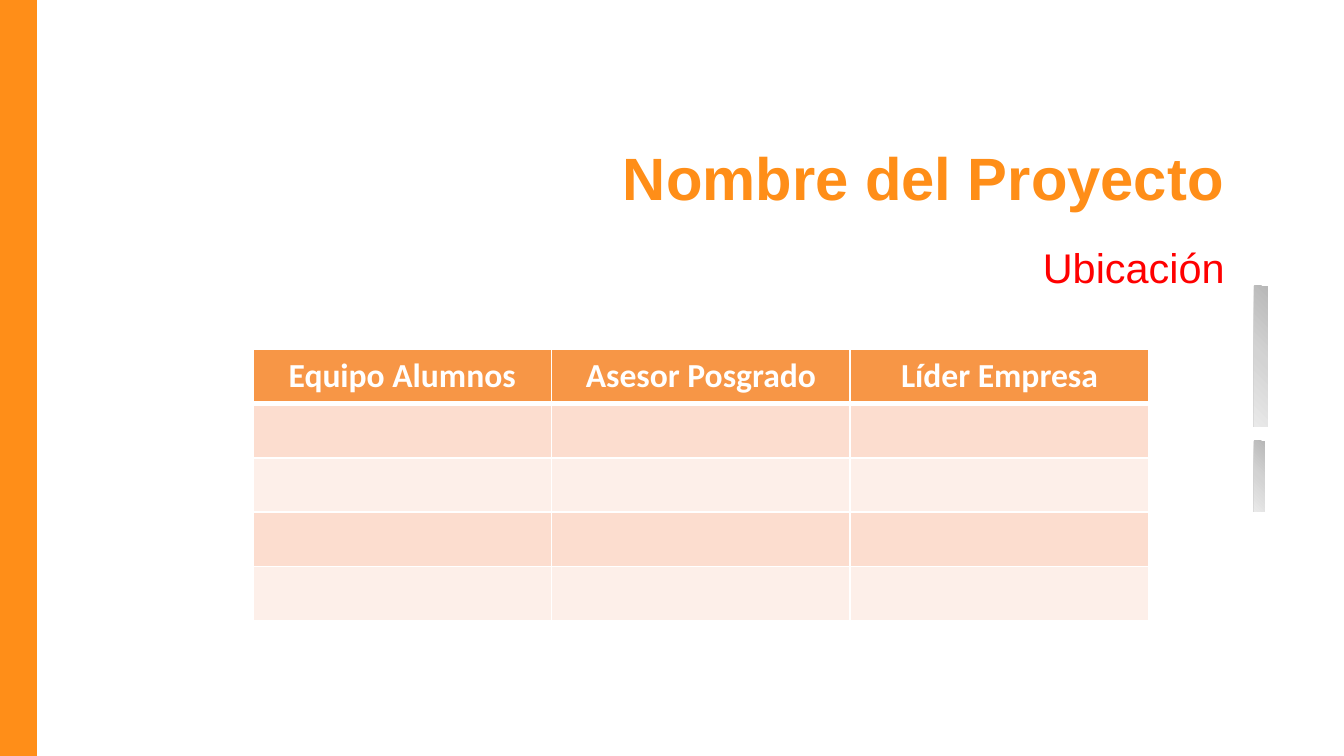
from copy import deepcopy

from lxml.etree import SubElement
from pptx import Presentation
from pptx.dml.color import RGBColor as Rgb
from pptx.enum.shapes import MSO_SHAPE as Shape
from pptx.enum.text import MSO_ANCHOR as Anchor, PP_ALIGN as Align
from pptx.oxml.ns import qn
from pptx.util import Pt

SCALE = 914400 / 134.4
SLIDE_BOX = (0, 0, 1344, 756)
COLORS = {
    "orange": "FF8E18",
    "red": "FF0000",
    "white": "FFFFFF",
    "header": "F79646",
    "odd_row": "FCDDCF",
    "even_row": "FDEFE9",
}
GRADIENT = {0: "B8B8B8", 0.5: "D3D3D3", 1: "E9E9E9"}
TITLE_FONT = {"name": "Arial", "size": Pt(32), "bold": True}
SUBTITLE_FONT = {"name": "Arial", "size": Pt(22.2), "bold": False}
HEADER_FONT = {"name": "Calibri", "size": Pt(18), "bold": True}
HEADERS = ["Equipo Alumnos", "Asesor Posgrado", "Líder Empresa"]
BODY_ROWS = 4


def emu(pixels):
    """Turn pixels into EMU."""
    return round(pixels * SCALE)


def color(name):
    """Look up a named colour."""
    return Rgb.from_string(COLORS[name])


def set_attributes(target, values):
    """Set every attribute listed in a dict."""
    for name, value in values.items():
        setattr(target, name, value)


def write_text(frame, text, font, color_name, align):
    """Write one formatted paragraph into a text frame."""
    paragraph = frame.paragraphs[0]
    paragraph.text = text
    paragraph.alignment = align
    run_font = paragraph.runs[0].font
    set_attributes(run_font, font)
    run_font.color.rgb = color(color_name)


def add_bar(slide, box):
    """Add a rectangle without line or shadow."""
    shape = slide.shapes.add_shape(Shape.RECTANGLE, *map(emu, box))
    shape.shadow.inherit = False
    shape.line.fill.background()
    return shape


def add_side_band(slide, box):
    """Add the orange band along the left edge."""
    left, top, _, height = box
    band = add_bar(slide, (left, top, 37, height))
    band.fill.solid()
    band.fill.fore_color.rgb = color("orange")


def add_gray_bars(slide, box):
    """Add the two shaded bars, one under the other."""
    left, top, width, height = box
    sizes = [(0, width, 141), (height - 71, width - 3, 71)]
    for offset, bar_width, bar_height in sizes:
        bar = add_bar(slide, (left, top + offset, bar_width, bar_height))
        bar.fill.gradient()
        bar.fill.gradient_angle = 225
        stop_list = bar.element.spPr.find(".//" + qn("a:gsLst"))
        stop_list.append(deepcopy(stop_list[0]))
        for stop, (position, value) in zip(bar.fill.gradient_stops, GRADIENT.items()):
            stop.position = position
            stop.color.rgb = Rgb.from_string(value)


def add_headings(slide, box):
    """Place the title and the subtitle, aligned to the right."""
    left, top, width, height = box
    title = slide.shapes.title
    title_box = dict(zip(("left", "top", "width", "height"),
                         map(emu, (left, top, width, 86))))
    set_attributes(title, title_box)
    set_attributes(title.text_frame,
                   {"word_wrap": True, "vertical_anchor": Anchor.MIDDLE})
    write_text(title.text_frame, "Nombre del Proyecto", TITLE_FONT, "orange", Align.RIGHT)

    subtitle_box = (left + 190, top + height - 58, width - 190, 58)
    subtitle = slide.shapes.add_textbox(*map(emu, subtitle_box))
    set_attributes(subtitle.text_frame, {
        "word_wrap": True,
        "vertical_anchor": Anchor.BOTTOM,
        "margin_bottom": 0,
    })
    write_text(subtitle.text_frame, "Ubicación", SUBTITLE_FONT, "red", Align.RIGHT)


def set_borders(cell, widths):
    """Draw white cell borders with the given widths in points."""
    properties = cell._tc.get_or_add_tcPr()
    for index, (side, width) in enumerate(widths.items()):
        line = properties.makeelement(qn(f"a:{side}"), {"w": str(Pt(width))})
        fill = SubElement(line, qn("a:solidFill"))
        SubElement(fill, qn("a:srgbClr"), {"val": COLORS["white"]})
        properties.insert(index, line)


def add_team_table(slide, box):
    """Add the team table with a header and banded empty rows."""
    row_count = BODY_ROWS + 1
    frame = slide.shapes.add_table(row_count, len(HEADERS), *map(emu, box))
    table = frame.table
    for row in range(row_count):
        band = "header" if row == 0 else "odd_row" if row % 2 else "even_row"
        widths = {"lnL": 1, "lnR": 1,
                  "lnT": 3 if row == 1 else 1, "lnB": 3 if row == 0 else 1}
        for column, header in enumerate(HEADERS):
            cell = table.cell(row, column)
            cell.fill.solid()
            cell.fill.fore_color.rgb = color(band)
            set_borders(cell, widths)
            if row == 0:
                write_text(cell.text_frame, header, HEADER_FONT, "white", Align.CENTER)


def main():
    """Build and save the cover slide."""
    presentation = Presentation()
    presentation.slide_width, presentation.slide_height = map(emu, SLIDE_BOX[2:])
    slide = presentation.slides.add_slide(presentation.slide_layouts[5])
    add_side_band(slide, SLIDE_BOX)
    add_gray_bars(slide, (1254, 286, 14, 226))
    add_headings(slide, (164, 134, 1074, 158))
    add_team_table(slide, (253, 349, 896, 272))
    presentation.save("out.pptx")


if __name__ == "__main__":
    main()
